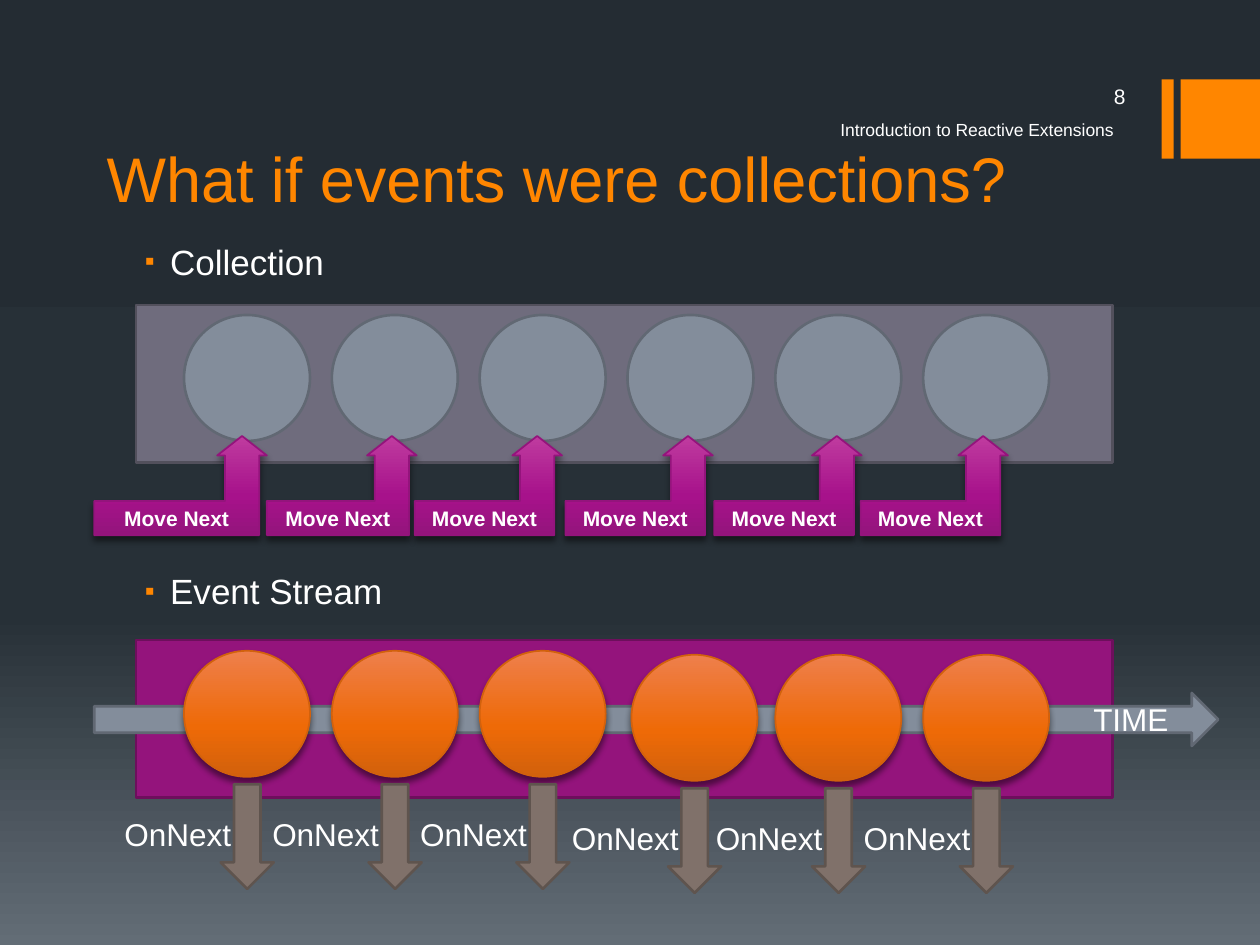
from dataclasses import dataclass

from lxml import etree
from pptx import Presentation
from pptx import util as u
from pptx.dml.color import RGBColor
from pptx.enum import shapes as sh, text as t
from pptx.oxml.ns import qn

Cm, Pt = u.Cm, u.Pt
SHAPE, ALIGN, ANCHOR = sh.MSO_SHAPE, t.PP_ALIGN, t.MSO_ANCHOR


@dataclass(frozen=True)
class Theme:
    font: str = "Arial"
    white: str = "FFFFFF"
    accent: str = "FF8600"
    steel: tuple = ("838D9B", "616873")  # fill, line
    slate: tuple = ("6F6C7D", "52505C")
    plum: tuple = ("94147C", "6D0F5C")
    taupe: tuple = ("80716A", "5F544E")
    backdrop: tuple = ((0, "242C33"), (65, "273037"), (100, "636D76"))
    magenta_fade: tuple = ((0, "BF3B9F"), (60, "A7128B"), (100, "94147C"))
    orange_fade: tuple = ((0, "EE7F4C"), (60, "EE6A07"), (100, "D2610C"))
    title: int = 36
    heading: int = 20
    label: int = 18
    small: int = 12
    footer: int = 10


TH = Theme()
COUNT, DOT, PITCH, FIRST = 6, 2.54, 2.98, 0.97  # circles in each band


def rgb(value):
    return RGBColor.from_string(value)


def child(parent, tag, **attrs):
    return etree.SubElement(parent, qn(tag), attrs)


def fade(fill, element, stops):
    """Fill from top to bottom with (percent, colour) stops."""
    fill.gradient()
    fill.gradient_angle = 270
    stop_list = element.find(".//" + qn("a:gsLst"))
    for old in list(stop_list):
        stop_list.remove(old)
    for percent, color in stops:
        stop = child(stop_list, "a:gs", pos=str(percent * 1000))
        child(stop, "a:srgbClr", val=color)


def add_shadow(sp):
    effects = sp.element.spPr.find(qn("a:effectLst"))
    shadow = child(effects, "a:outerShdw", blurRad=str(Pt(3.8)), dist=str(Pt(3)),
                   dir="5400000", rotWithShape="0")
    color = child(shadow, "a:srgbClr", val="000000")
    child(color, "a:alpha", val="48000")


def add_shape(shapes, kind, x, y, w, h, colors=None, stops=None):
    """Flat shape from (fill, line) colours, or a shadowed one from stops."""
    sp = shapes.add_shape(kind, Cm(x), Cm(y), Cm(w), Cm(h))
    sp.shadow.inherit = False
    if stops:
        fade(sp.fill, sp.element, stops)
        sp.line.color.rgb, sp.line.width = rgb(stops[-1][1]), Pt(1)
        add_shadow(sp)
        return sp
    fill, line = colors
    sp.fill.solid()
    sp.fill.fore_color.rgb = rgb(fill)
    if line:
        sp.line.color.rgb, sp.line.width = rgb(line), Pt(1.5)
    else:
        sp.line.fill.background()
    return sp


def write(sp, words, size, color=TH.white, bold=False, align=ALIGN.LEFT,
          anchor=ANCHOR.TOP, wrap=True):
    tf = sp.text_frame
    tf.word_wrap, tf.vertical_anchor = wrap, anchor
    p = tf.paragraphs[0]
    p.alignment = align
    r = p.add_run()
    r.text = words
    r.font.name, r.font.size, r.font.bold = TH.font, Pt(size), bold
    r.font.color.rgb = rgb(color)
    return tf


def add_text(shapes, x, y, w, h, words, size, **fmt):
    box = shapes.add_textbox(Cm(x), Cm(y), Cm(w), Cm(h))
    return write(box, words, size, **fmt)


def add_heading(shapes, x, y, words):
    tf = add_text(shapes, x, y, 20.32, 1.1, words, TH.heading)
    pPr = tf.paragraphs[0]._p.get_or_add_pPr()
    pPr.set("marL", str(Cm(0.64)))
    pPr.set("indent", str(Cm(-0.51)))
    child(child(pPr, "a:buClr"), "a:srgbClr", val=TH.accent)
    child(pPr, "a:buSzPct", val="80000")
    child(pPr, "a:buFont", typeface=TH.font)
    child(pPr, "a:buChar", char="▪")


def header(shapes, x, y, w, h):
    # Corner blocks
    for left, width in ((23.42, 0.24), (23.8, 1.6)):
        add_shape(shapes, SHAPE.RECTANGLE, left, y + 0.33, width, 1.6, (TH.accent, None))
    # Title, footer and slide number
    add_text(shapes, x, y, w, h, "What if events were collections?", TH.title,
             color=TH.accent, anchor=ANCHOR.BOTTOM)
    tf = add_text(shapes, x + 14.79, y + 1.12, 6.25, 0.84,
                  "Introduction to Reactive Extensions", TH.footer)
    tf.margin_top = 0
    add_text(shapes, x + 18.42, y + 0.25, 2.62, 0.84, "8", TH.small,
             align=ALIGN.RIGHT, anchor=ANCHOR.MIDDLE)


def collection(shapes, x, y, w, h):
    add_heading(shapes, x - 0.2, y - 1.43, "Collection")
    add_shape(shapes, SHAPE.RECTANGLE, x, y, w, h, TH.slate)
    for i in range(COUNT):
        add_shape(shapes, SHAPE.OVAL, x + FIRST + i * PITCH, y + 0.2, DOT, DOT, TH.steel)
    # Pull arrows: left offset and width
    for left, width in ((-0.84, 3.48), (2.64, 3.02), (5.62, 2.97),
                        (8.66, 2.97), (11.66, 2.97), (14.61, 2.97)):
        sp = add_shape(shapes, SHAPE.BENT_UP_ARROW, x + left, y + 2.64, width, 2,
                       stops=TH.magenta_fade)
        for n, value in enumerate((0.345, 0.25, 0.196)):
            sp.adjustments[n] = value
        write(sp, "Move Next", TH.small, bold=True, align=ALIGN.CENTER,
              anchor=ANCHOR.MIDDLE)


def event(shapes, x, y):
    """One event with its push arrow, placed from the circle's corner."""
    group = shapes.add_group_shape().shapes
    add_shape(group, SHAPE.OVAL, x, y, DOT, DOT, stops=TH.orange_fade)
    add_shape(group, SHAPE.DOWN_ARROW, x + 0.74, y + 2.69, 1.07, 2.11, TH.taupe)
    add_text(group, x - 1.45, y + 3.18, 2.69, 1.02, "OnNext", TH.label, wrap=False)


def event_stream(shapes, x, y, w, h):
    add_heading(shapes, x - 0.2, y - 1.54, "Event Stream")
    add_shape(shapes, SHAPE.RECTANGLE, x, y, w, h, TH.plum)
    # Time axis
    axis = shapes.add_group_shape().shapes
    add_shape(axis, SHAPE.RIGHT_ARROW, x - 0.84, y + 1.07, w + 2.97, 1.07, TH.steel)
    add_text(axis, x + 19.05, y + 1.09, 2.06, 1.02, "TIME", TH.label, wrap=False)
    # The later events sit slightly lower, the fourth also slightly right
    nudges = [(0, 0)] * 3 + [(0.08, 0.08), (0, 0.08), (0, 0.08)]
    for i, (dx, dy) in enumerate(nudges):
        event(shapes, x + FIRST + i * PITCH + dx, y + 0.22 + dy)


def main():
    prs = Presentation()
    prs.slide_width, prs.slide_height = Cm(25.4), Cm(19.05)
    s = prs.slides.add_slide(prs.slide_layouts[6])
    fade(s.background.fill, s.element, TH.backdrop)
    header(s.shapes, 1.9, 1.27, 20.32, 3.2)
    collection(s.shapes, 2.74, 6.15, 19.69, 3.18)
    event_stream(s.shapes, 2.74, 12.9, 19.69, 3.18)
    prs.save("out.pptx")


if __name__ == "__main__":
    main()
